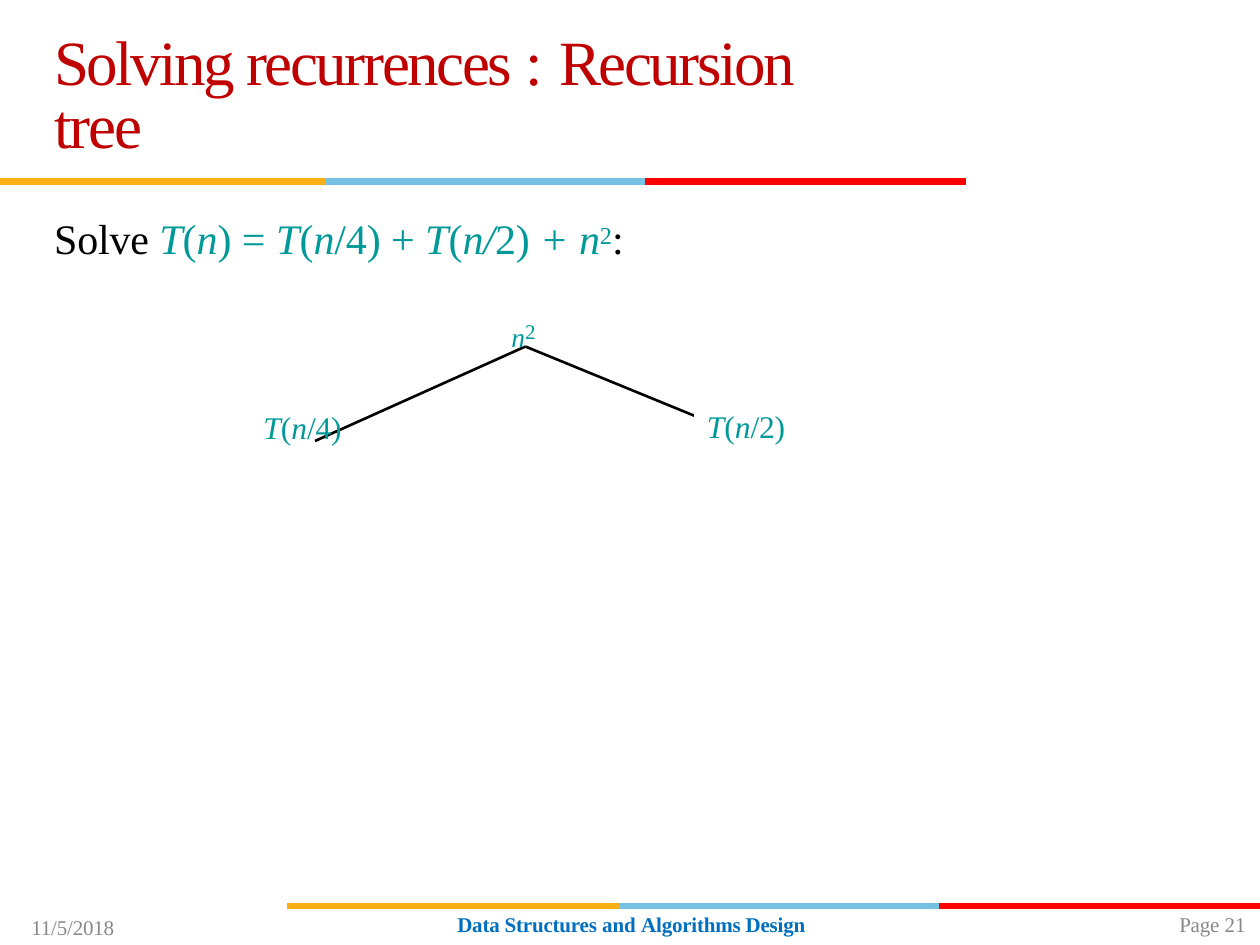
from dataclasses import dataclass

from lxml import etree
from pptx import Presentation
from pptx.dml.color import RGBColor
from pptx.enum.shapes import MSO_CONNECTOR, MSO_SHAPE
from pptx.enum.text import MSO_ANCHOR, MSO_AUTO_SIZE, PP_ALIGN
from pptx.oxml.ns import qn
from pptx.util import Inches, Pt

LINE = MSO_CONNECTOR.STRAIGHT
RECT = MSO_SHAPE.RECTANGLE
TOP = MSO_ANCHOR.TOP
LEFT = PP_ALIGN.LEFT
GROW = MSO_AUTO_SIZE.SHAPE_TO_FIT_TEXT


@dataclass(frozen=True)
class Theme:
    font: str = "Times New Roman"
    title: str = "C00000"
    ink: str = "000000"
    math: str = "009999"
    foot: str = "006FC0"
    gray: str = "888888"
    paper: str = "FFFFFF"
    gold: str = "FBAF17"
    sky: str = "76C2E4"
    red: str = "FF0000"
    brick: str = "E21C23"
    head: int = 36
    body: int = 24
    node: int = 18
    root: int = 27
    small: int = 12


def write(para, text, font, size, color, bold=False, space=-0.1, base=0):
    """Add text to a paragraph; parts between asterisks are italic."""
    for i, part in enumerate(text.split("*")):
        if not part:
            continue
        run = para.add_run()
        run.text = part
        face = run.font
        face.name, face.size = font, Pt(size)
        face.bold, face.italic = bold, i % 2 == 1
        face.color.rgb = RGBColor.from_string(color)
        props = run._r.get_or_add_rPr()
        props.set("spc", str(round(space * 100)))
        if base:
            props.set("baseline", str(base * 1000))


class Deck:
    def __init__(self, theme):
        self.theme = theme
        self.prs = Presentation()
        self.prs.slide_width, self.prs.slide_height = Inches(10), Inches(7.5)
        self.slide = self.prs.slides.add_slide(self.prs.slide_layouts[5])

    def fill(self, shape, runs, inset, pitch=None):
        """Set up a text frame and write (text, format) pairs into it."""
        frame = shape.text_frame
        frame.word_wrap, frame.auto_size = True, GROW
        frame.vertical_anchor = TOP
        frame.margin_left, frame.margin_top = Inches(0.01), Inches(inset)
        frame.margin_right = frame.margin_bottom = 0
        para = frame.paragraphs[0]
        para.alignment = LEFT
        if pitch:
            para.line_spacing = Pt(pitch)
        for text, form in runs:
            write(para, text, self.theme.font, **form)

    def title(self, box, runs):
        shape = self.slide.shapes.title
        shape.left, shape.top, shape.width, shape.height = map(Inches, box)
        self.fill(shape, runs, 0.12, self.theme.head)

    def text(self, box, runs, inset=0.03, pitch=None):
        shape = self.slide.shapes.add_textbox(*map(Inches, box))
        self.fill(shape, runs, inset, pitch)

    def line(self, start, end, color, width):
        link = self.slide.shapes.add_connector(
            LINE, *map(Inches, (*start, *end)))
        link.line.color.rgb = RGBColor.from_string(color)
        link.line.width = Pt(width)
        etree.SubElement(link._element.spPr, qn("a:effectLst"))

    def rule(self, y, width, bars):
        for left, right, color in bars:
            self.line((left, y), (right, y), color, width)

    def patch(self, box, color):
        shape = self.slide.shapes.add_shape(RECT, *map(Inches, box))
        shape.shadow.inherit = False
        shape.fill.solid()
        shape.fill.fore_color.rgb = RGBColor.from_string(color)
        shape.line.fill.background()


def main():
    th = Theme()
    deck = Deck(th)

    # Coloured rules: two layers at the foot, one under the title
    deck.rule(7.19, 3.88, [(5.06, 7.61, th.sky), (7.56, 10, th.brick),
                           (2.28, 5.1, th.gold)])
    deck.rule(7.19, 3.63, [(4.92, 7.46, th.sky), (2.33, 4.92, th.gold),
                           (7.45, 10, th.red)])
    deck.rule(1.44, 3.62, [(2.58, 5.13, th.sky), (0, 2.58, th.gold),
                           (5.12, 7.67, th.red)])

    # Recurrence
    ink = dict(size=th.body, color=th.ink)
    math = dict(size=th.body, color=th.math)
    wide = dict(math, space=0)
    deck.text((0.42, 1.66, 4.58, 0.43), [
        ("Solve ", ink), ("*T*(*n*) ", math), ("= ", wide),
        ("*T*(*n*/4) ", math), ("+ ", wide), ("*T*(*n/*2) ", math),
        ("*+ *", wide), ("*n*", math), ("2", dict(math, base=24)),
        (":", ink)])

    # Title
    head = dict(size=th.head, color=th.title, space=-1.4)
    deck.title((0.42, 0.16, 6.57, 0.62), [
        ("Solving recurrences ", head), (": ", dict(head, space=0)),
        ("Recursion ", head), ("tree", dict(head, space=-1.2))])

    # Tree: branches, then child and root labels
    root = (4.17, 2.75)
    for x in (2.5, 6):
        deck.line(root, (x, 3.5), th.ink, 1.5)
    node = dict(size=th.node, color=th.math)
    deck.text((2.08, 3.21, 0.65, 0.33), [("*T*(*n*/4)", node)])
    deck.patch((5.51, 3.17, 0.83, 0.4), th.paper)
    deck.text((5.6, 3.2, 0.65, 0.33), [("*T*(*n*/2)", node)])
    deck.text((4.05, 2.29, 0.24, 0.33), [
        ("*n*", dict(size=th.root, color=th.math, base=-17)),
        ("2", dict(size=th.small, color=th.math))])

    # Footer
    gray = dict(size=th.small, color=th.gray)
    name = dict(size=th.small, color=th.foot, bold=True)
    for box, runs in (
        ((3.62, 7.24, 2.83, 0.21),
         [("Data Structures ", name), ("and ", dict(name, space=0)),
          ("Algorithms Design", name)]),
        ((9.35, 7.24, 0.57, 0.22),
         [("Page ", gray), ("21", dict(gray, space=0))]),
        ((0.24, 7.26, 0.7, 0.21), [("11/5/2018", gray)]),
    ):
        deck.text(box, runs, inset=0, pitch=14.1)

    deck.prs.save("out.pptx")


if __name__ == "__main__":
    main()
